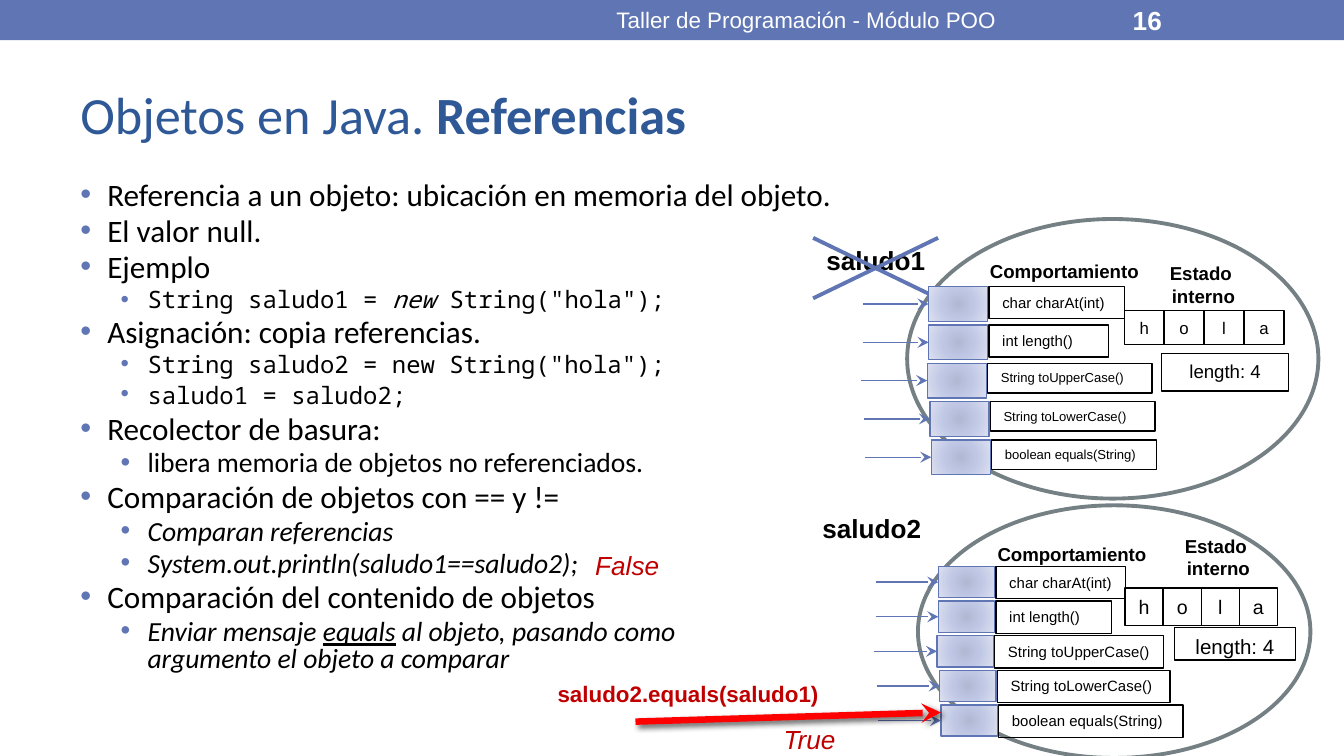
from copy import deepcopy
from dataclasses import dataclass
from lxml import etree
from pptx import Presentation
from pptx.dml.color import RGBColor
from pptx.enum.shapes import MSO_CONNECTOR, MSO_SHAPE
from pptx.enum.text import MSO_ANCHOR, PP_ALIGN
from pptx.oxml import parse_xml
from pptx.oxml.ns import nsdecls, qn
from pptx.util import Inches, Pt

STRAIGHT = MSO_CONNECTOR.STRAIGHT
RECTANGLE, ELLIPSE = MSO_SHAPE.RECTANGLE, MSO_SHAPE.OVAL
TOP, MIDDLE = MSO_ANCHOR.TOP, MSO_ANCHOR.MIDDLE
LEFT, CENTER = PP_ALIGN.LEFT, PP_ALIGN.CENTER


@dataclass(frozen=True)
class Theme:
    accent: str = "6076B4"
    title: str = "2F5897"
    outline: str = "758085"
    black: str = "000000"
    white: str = "FFFFFF"
    red: str = "C00000"
    arrow: str = "FF0000"
    port_stops: tuple = ((0, "B2B8D2"), (45, "BFC7E5"), (100, "DCE0F0"))
    sans: str = "Arial"
    body: str = "Calibri"
    code: str = "Noto Sans Mono"
    title_size: float = 28
    topic_size: float = 16.7
    detail_size: float = 14.8
    code_size: float = 12.8
    label_size: float = 14
    note_size: float = 12
    heading_size: float = 10
    thin: float = 0.75
    medium: float = 2.08
    thick: float = 3.5


THEME = Theme()
TOPICS = (
    ("topic", "Referencia a un objeto: ubicación en memoria del objeto."),
    ("topic", "El valor null."),
    ("topic", "Ejemplo"),
    ("code", "String saludo1 = ", ("new", "italic"), ' String("hola");'),
    ("topic", "Asignación: copia referencias."),
    ("code", 'String saludo2 = new String("hola");'),
    ("code", "saludo1 = saludo2;", (" ", "detail")),
    ("topic", "Recolector de basura:"),
    ("detail", "libera memoria de objetos no referenciados."),
    ("topic", "Comparación de objetos con == y !="),
    ("detail", ("Comparan referencias", "italic")),
    ("detail", ("System.out.println(saludo1==saludo2);", "italic")),
    ("topic", "Comparación del contenido de objetos"),
    ("detail", ("Enviar mensaje ", "italic"), ("equals", "italic underline"),
     (" al objeto, pasando como ", "italic"), "\n",
     ("argumento el objeto a comparar", "italic")),
)
METHODS = ("char charAt(int)", "int length()", "String toUpperCase()",
           "String toLowerCase()", "boolean equals(String)")
ROW_SHIFTS = (0, 0, -0.01, 0.01, 0.02)


@dataclass(frozen=True)
class ObjectStyle:
    label_widths: tuple
    label_heights: tuple
    label_sizes: tuple
    cell_height: float
    cell_size: float
    length_box: tuple
    length_size: float
    state_box: tuple


FIRST = ObjectStyle((0.33, 0.29, 0.4, 0.4, 0.4), (0.115, 0.115, 0.106, 0.106, 0.106),
                    (8, 8, 7, 7, 7), 0.12, 9,
                    (0.618, 0.481, 0.31, 0.135), 10, (0.477, 0.13, 0.474, 0.21))
SECOND = ObjectStyle((0.33, 0.295, 0.43, 0.44, 0.47), (0.128,) * 5,
                     (8,) * 5, 0.149, 10.5,
                     (0.654, 0.484, 0.308, 0.128), 11, (0.497, 0.09, 0.524, 0.23))


def color(value):
    return RGBColor.from_string(value)


def within(box, share):
    left, top, width, height = box
    return (left + share[0] * width, top + share[1] * height,
            share[2] * width, share[3] * height)


def format_run(run, size, tone, font=THEME.sans, style=""):
    run.font.size = Pt(size)
    run.font.name = font
    run.font.color.rgb = color(tone)
    run.font.bold = "bold" in style
    run.font.italic = "italic" in style
    run.font.underline = "underline" in style


def write(shape, text, size, tone=THEME.black, style="", align=LEFT, anchor=TOP):
    frame = shape.text_frame
    frame.word_wrap = True
    frame.vertical_anchor = anchor
    frame.text = text
    for paragraph in frame.paragraphs:
        paragraph.alignment = align
        for run in paragraph.runs:
            format_run(run, size, tone, style=style)


def add_text(shapes, box, *args, **options):
    write(shapes.add_textbox(*map(Inches, box)), *args, **options)


def add_box(shapes, box, kind=RECTANGLE, fill=None, line=None, weight=THEME.thin):
    shape = shapes.add_shape(kind, *map(Inches, box))
    shape.shadow.inherit = False
    if fill:
        shape.fill.solid()
        shape.fill.fore_color.rgb = color(fill)
    else:
        shape.fill.background()
    if line:
        shape.line.color.rgb = color(line)
        shape.line.width = Pt(weight)
    else:
        shape.line.fill.background()
    return shape


def add_line(shapes, start, end, tone=THEME.accent, weight=THEME.thin, arrow=False):
    connector = shapes.add_connector(STRAIGHT, *map(Inches, (*start, *end)))
    connector.line.color.rgb = color(tone)
    connector.line.width = Pt(weight)
    properties = connector._element.spPr
    if arrow:
        etree.SubElement(properties.find(qn("a:ln")), qn("a:tailEnd"), type="stealth")
    return etree.SubElement(properties, qn("a:effectLst"))


def add_port(shapes, box):
    properties = add_box(shapes, box, line=THEME.accent)._element.spPr
    stops = "".join(f'<a:gs pos="{position * 1000}"><a:srgbClr val="{tone}"/></a:gs>'
                    for position, tone in THEME.port_stops)
    gradient = parse_xml(
        f'<a:gradFill {nsdecls("a")}><a:gsLst>{stops}</a:gsLst><a:path path="circle">'
        '<a:fillToRect l="50000" t="50000" r="50000" b="50000"/></a:path></a:gradFill>')
    properties.replace(properties.find(qn("a:noFill")), gradient)


def draw_header(slide, box):
    add_box(slide.shapes, box, fill=THEME.accent)
    add_text(slide.shapes, within(box, (0.375, 0.04, 0.45, 0.9)),
             "Taller de Programación - Módulo POO", THEME.note_size, THEME.white,
             align=CENTER, anchor=MIDDLE)
    add_text(slide.shapes, within(box, (0.833, 0.04, 0.117, 0.9)), "16",
             THEME.label_size, THEME.white, "bold", anchor=MIDDLE)


def draw_title(slide, box):
    frame = slide.shapes.add_textbox(*map(Inches, box)).text_frame
    frame.word_wrap = True
    frame.vertical_anchor = MIDDLE
    for text, style in (("Objetos en Java. ", ""), ("Referencias", "bold")):
        run = frame.paragraphs[0].add_run()
        run.text = text
        format_run(run, THEME.title_size, THEME.title, THEME.body, style)


def draw_topics(slide, box):
    frame = slide.shapes.add_textbox(*map(Inches, box)).text_frame
    frame.word_wrap = True
    formats = {"topic": (THEME.topic_size, THEME.body),
               "detail": (THEME.detail_size, THEME.body),
               "code": (THEME.code_size, THEME.code)}
    for index, (kind, *parts) in enumerate(TOPICS):
        paragraph = frame.add_paragraph() if index else frame.paragraphs[0]
        paragraph.level = 0 if kind == "topic" else 1
        paragraph.line_spacing = 0.8
        paragraph.space_before = Pt((3.3 if kind == "topic" else 3) if index else 0)
        properties = paragraph._p.get_or_add_pPr()
        properties.set("marL", str(Inches(0.2 if kind == "topic" else 0.5)))
        properties.set("indent", str(Inches(-0.2)))
        bullet_color = etree.SubElement(properties, qn("a:buClr"))
        etree.SubElement(bullet_color, qn("a:srgbClr"), val=THEME.accent)
        etree.SubElement(properties, qn("a:buFont"), typeface=THEME.sans)
        etree.SubElement(properties, qn("a:buChar"), char="•")
        for part in parts:
            if part == "\n":
                paragraph.add_line_break()
                paragraph._p[-1].append(deepcopy(run._r.rPr))
                continue
            text, style = (part, "") if isinstance(part, str) else part
            size, font = formats.get(style, formats[kind])
            run = paragraph.add_run()
            run.text = text
            format_run(run, size, THEME.black, font, style)


def draw_string_object(slide, box, style):
    shapes = slide.shapes.add_group_shape().shapes
    add_box(shapes, box, ELLIPSE, THEME.white, THEME.outline, THEME.medium)
    for index, letter in enumerate("hola"):
        cell = within(box, (0.528 + 0.097 * index, 0.328, 0.097, style.cell_height))
        write(add_box(shapes, cell, line=THEME.black), letter, style.cell_size, align=CENTER)
    add_text(shapes, within(box, style.state_box), "Estado\n interno",
             THEME.heading_size, style="bold", align=CENTER)
    write(add_box(shapes, within(box, style.length_box), line=THEME.black),
          "length: 4", style.length_size, align=CENTER)
    add_text(shapes, within(box, (0.169, 0.124, 0.475, 0.14)), "Comportamiento",
             THEME.heading_size, style="bold")
    rows = zip(METHODS, ROW_SHIFTS, style.label_widths, style.label_heights, style.label_sizes)
    for index, (method, shift, width, height, size) in enumerate(rows):
        left, top, *extent = within(box, (0.052, 0.242 + 0.137 * index, 0.144, 0.124))
        left += shift
        label = (left + 0.147 * box[2], top, width * box[2], height * box[3])
        write(add_box(shapes, label, line=THEME.black), method, size)
        add_port(shapes, (left, top, *extent))
        center = top + extent[1] / 2
        add_line(shapes, (left - 0.16 * box[2], center), (left, center), arrow=True)


def draw_cross(slide, box):
    left, top, width, height = box
    shapes = slide.shapes.add_group_shape().shapes
    for start, end in ((top + height, top), (top, top + height)):
        add_line(shapes, (left, start), (left + width, end), weight=THEME.medium)


def draw_message(slide, box):
    left, top, width, height = box
    effects = add_line(slide.shapes, (left + 0.23 * width, top + 0.58 * height),
                       (left + width, top + 0.47 * height), THEME.arrow, THEME.thick, True)
    shadow = etree.SubElement(effects, qn("a:outerShdw"), blurRad=str(Pt(3)),
                              dist=str(Pt(2)), dir="2700000", rotWithShape="0")
    tone = etree.SubElement(shadow, qn("a:srgbClr"), val=THEME.black)
    etree.SubElement(tone, qn("a:alpha"), val="60000")
    add_text(slide.shapes, within(box, (0, 0, 0.87, 0.48)), "saludo2.equals(saludo1)",
             THEME.note_size, THEME.red, "bold")
    add_text(slide.shapes, within(box, (0.57, 0.52, 0.27, 0.48)), "True",
             THEME.label_size, THEME.red, "italic")


def main():
    presentation = Presentation()
    presentation.slide_width = Inches(10)
    presentation.slide_height = presentation.slide_width * 9 // 16
    slide = presentation.slides.add_slide(presentation.slide_layouts[6])
    draw_header(slide, (0, 0, 10, 0.3))
    draw_title(slide, (0.5, 0.44, 9, 0.81))
    draw_topics(slide, (0.5, 1.31, 9.31, 4))
    draw_string_object(slide, (6.83, 3.76, 2.92, 1.88), SECOND)
    for text, left, top in (("saludo1", 6.05, 1.77), ("saludo2", 6.02, 3.76)):
        add_text(slide.shapes, (left, top, 1.39, 0.34), text, THEME.label_size, style="bold")
    draw_cross(slide, (6.05, 1.77, 0.93, 0.45))
    draw_string_object(slide, (6.75, 1.63, 3.06, 2.08), FIRST)
    draw_message(slide, (4.05, 5.01, 2.95, 0.62))
    add_text(slide.shapes, (4.33, 4.04, 0.75, 0.34), "False",
             THEME.label_size, THEME.red, "italic")
    presentation.save("out.pptx")


if __name__ == "__main__":
    main()
